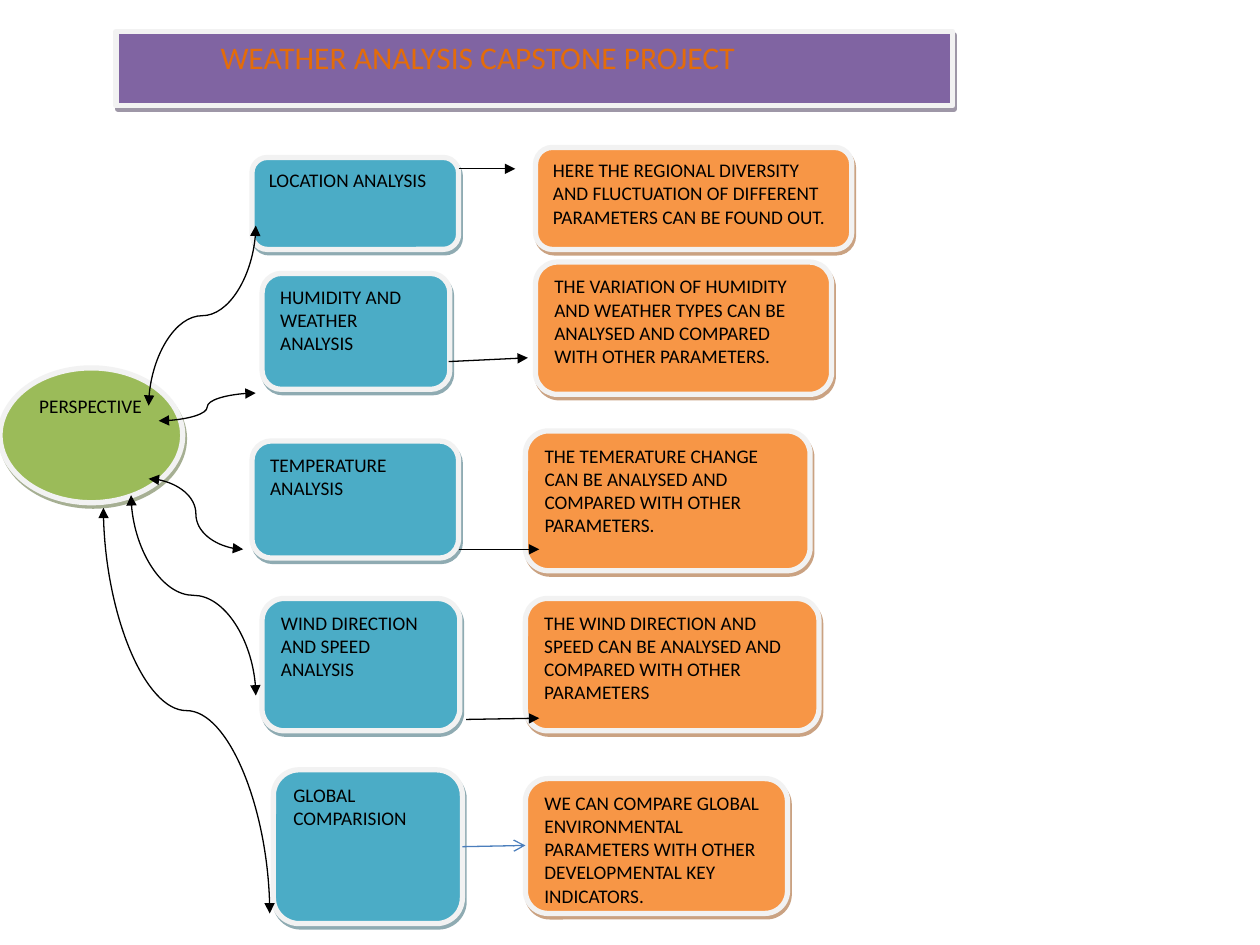
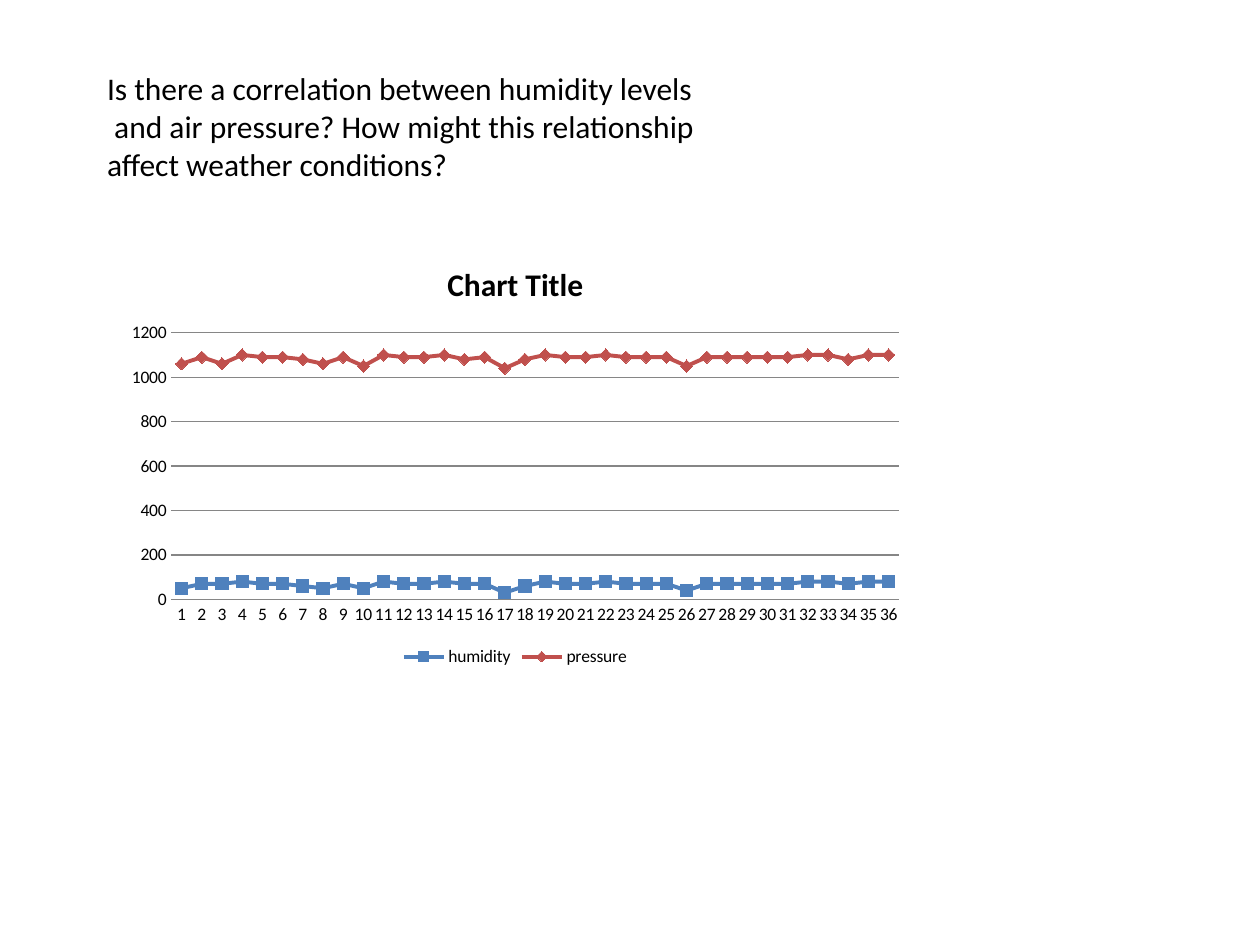
from lxml.etree import SubElement
from pptx import Presentation
from pptx.chart.data import CategoryChartData
from pptx.dml.color import RGBColor
from pptx.enum.chart import XL_CHART_TYPE, XL_LEGEND_POSITION, XL_MARKER_STYLE, XL_TICK_MARK
from pptx.enum.shapes import MSO_CONNECTOR, MSO_SHAPE
from pptx.enum.text import MSO_ANCHOR, MSO_AUTO_SIZE, PP_ALIGN
from pptx.oxml.ns import qn
from pptx.util import Inches, Pt

FONT = "Calibri"
BLACK, GREY, BORDER = "000000", "868686", "F2F2F2"
PURPLE, PURPLE_SHADOW, TITLE_ORANGE = "8064A2", "3F3151", "E36C0A"
GREEN, GREEN_SHADOW = "9BBB59", "4E6128"
TEAL, TEAL_SHADOW = "4BACC6", "205867"
ORANGE, ORANGE_SHADOW = "F79646", "974706"
ARROW_BLUE, SERIES_BLUE, SERIES_RED = "4B7EBC", "4F81BD", "C0504D"

# Analysis name, its box, description, its box (left, top, width, height)
ANALYSES = [
    ("LOCATION ANALYSIS", (2, 1.25, 1.64, 0.73),
     "HERE THE REGIONAL DIVERSITY AND FLUCTUATION OF DIFFERENT PARAMETERS CAN BE FOUND OUT.",
     (4.25, 1.17, 2.51, 0.81)),
    ("HUMIDITY AND WEATHER ANALYSIS", (2.08, 2.17, 1.49, 0.92),
     "THE VARIATION OF HUMIDITY AND WEATHER TYPES CAN BE ANALYSED AND COMPARED "
     "WITH OTHER PARAMETERS.",
     (4.25, 2.08, 2.35, 1.05)),
    ("TEMPERATURE ANALYSIS", (2, 3.5, 1.64, 0.93),
     "THE TEMERATURE CHANGE CAN BE ANALYSED AND COMPARED WITH OTHER PARAMETERS.",
     (4.17, 3.42, 2.26, 1.11)),
    ("WIND DIRECTION AND SPEED ANALYSIS", (2.08, 4.75, 1.57, 1.05),
     "THE WIND DIRECTION AND SPEED CAN BE ANALYSED AND COMPARED WITH OTHER PARAMETERS",
     (4.17, 4.75, 2.33, 1.05)),
    ("GLOBAL COMPARISION", (2.17, 6.11, 1.5, 1.22),
     "WE CAN COMPARE GLOBAL ENVIRONMENTAL PARAMETERS WITH OTHER DEVELOPMENTAL KEY INDICATORS.",
     (4.17, 6.18, 2.08, 1.07)),
]

# Start point, end point, whether the curve leaves vertically
PERSPECTIVE_CURVES = [
    ((1.18, 3.22), (2.03, 1.79), True),
    ((1.26, 3.34), (2.03, 3.12), False),
    ((1.18, 3.8), (1.93, 4.36), False),
    ((1.04, 3.93), (2.03, 5.52), True),
    ((0.82, 4.03), (2.14, 7.25), True),
]

# Start point, end point, colour, arrowhead
DESCRIPTION_ARROWS = [
    ((3.64, 1.34), (4.09, 1.34), BLACK, "triangle"),
    ((3.56, 2.87), (4.19, 2.84), BLACK, "triangle"),
    ((3.64, 4.36), (4.28, 4.36), BLACK, "triangle"),
    ((3.7, 5.71), (4.28, 5.7), BLACK, "triangle"),
    ((3.67, 6.72), (4.17, 6.71), ARROW_BLUE, "arrow"),
]

HUMIDITY = [50, 70, 70, 80, 70, 70, 60, 50, 70, 50, 80, 70,
            70, 80, 70, 70, 30, 60, 80, 70, 70, 80, 70, 70,
            70, 40, 70, 70, 70, 70, 70, 80, 80, 70, 80, 80]
PRESSURE = [1010, 1020, 990, 1020, 1020, 1020, 1020, 1010, 1020, 1000, 1020, 1020,
            1020, 1020, 1010, 1020, 1010, 1020, 1020, 1020, 1020, 1020, 1020, 1020,
            1020, 1010, 1020, 1020, 1020, 1020, 1020, 1020, 1020, 1010, 1020, 1020]


def color(hex_value):
    return RGBColor.from_string(hex_value)


def style_font(font, size, hex_value=BLACK, bold=False):
    font.name, font.size, font.bold = FONT, Pt(size), bold
    font.color.rgb = color(hex_value)


def write_text(shape, lines, size, hex_value=BLACK):
    """Fill a shape with left-aligned paragraphs starting at the top."""
    frame = shape.text_frame
    frame.word_wrap = True
    frame.auto_size = MSO_AUTO_SIZE.NONE
    frame.vertical_anchor = MSO_ANCHOR.TOP
    frame.text = "\n".join(lines)
    for paragraph in frame.paragraphs:
        paragraph.alignment = PP_ALIGN.LEFT
        style_font(paragraph.font, size, hex_value)


def style_panel(shape, fill, shadow):
    """Solid fill, pale border and a hard shadow to the lower right."""
    shape.fill.solid()
    shape.fill.fore_color.rgb = color(fill)
    shape.line.color.rgb = color(BORDER)
    shape.line.width = Pt(3)
    shape.shadow.inherit = False
    effects = shape.element.spPr.find(qn("a:effectLst"))
    outer = SubElement(effects, qn("a:outerShdw"), blurRad="0", dist=str(Pt(2.2)),
                       dir=str(63 * 60000), algn="ctr", rotWithShape="0")
    shadow_color = SubElement(outer, qn("a:srgbClr"), val=shadow)
    SubElement(shadow_color, qn("a:alpha"), val="50000")


def add_panel(slide, preset, box, text, fill, shadow):
    shape = slide.shapes.add_shape(preset, *map(Inches, box))
    style_panel(shape, fill, shadow)
    write_text(shape, [text], 11)


def add_title(slide, box, lines, hex_value=BLACK):
    title = slide.shapes.title
    title.left, title.top, title.width, title.height = map(Inches, box)
    write_text(title, lines, 18, hex_value)
    return title


def style_connector(connector, hex_value, **arrowheads):
    connector.line.color.rgb = color(hex_value)
    connector.line.width = Pt(0.75)
    properties = connector.element.spPr
    for end, kind in arrowheads.items():
        SubElement(properties.find(qn("a:ln")), qn(f"a:{end}"), type=kind)
    SubElement(properties, qn("a:effectLst"))


def add_arrow(slide, start, end, hex_value, head):
    connector = slide.shapes.add_connector(
        MSO_CONNECTOR.STRAIGHT, *map(Inches, start + end))
    style_connector(connector, hex_value, tailEnd=head)


def add_curve(slide, start, end, vertical):
    """Two-headed S-curve; a vertical one is a horizontal one turned by 270 degrees."""
    (x1, y1), (x2, y2) = start, end
    if vertical:
        middle_x, middle_y = (x1 + x2) / 2, (y1 + y2) / 2
        half_length, half_height = (y1 - y2) / 2, (x2 - x1) / 2
        x1, x2 = middle_x - half_length, middle_x + half_length
        y1, y2 = middle_y - half_height, middle_y + half_height
    connector = slide.shapes.add_connector(
        MSO_CONNECTOR.CURVE, *map(Inches, (x1, y1, x2, y2)))
    if vertical:
        connector.element.spPr.find(qn("a:xfrm")).set("rot", str(270 * 60000))
    style_connector(connector, BLACK, headEnd="triangle", tailEnd="triangle")


def add_line_chart(slide, box):
    data = CategoryChartData()
    data.categories = [str(number) for number in range(1, len(HUMIDITY) + 1)]
    data.add_series("humidity", HUMIDITY)
    data.add_series("pressure", PRESSURE)
    chart = slide.shapes.add_chart(
        XL_CHART_TYPE.LINE_MARKERS_STACKED, *map(Inches, box), data).chart
    style_font(chart.font, 10)

    # Title and legend
    chart.has_title = True
    chart.chart_title.text_frame.text = "Chart Title"
    style_font(chart.chart_title.text_frame.paragraphs[0].font, 18, bold=True)
    chart.chart_title.include_in_layout = False
    chart.has_legend = True
    chart.legend.position = XL_LEGEND_POSITION.BOTTOM
    chart.legend.include_in_layout = False

    # Axes
    for axis in (chart.category_axis, chart.value_axis):
        axis.major_tick_mark = axis.minor_tick_mark = XL_TICK_MARK.NONE
    chart.category_axis.format.line.color.rgb = color(GREY)
    values = chart.value_axis
    values.minimum_scale, values.maximum_scale, values.major_unit = 0, 1200, 200
    values.format.line.fill.background()
    values.has_major_gridlines = True
    values.major_gridlines.format.line.color.rgb = color(GREY)

    # Series
    styles = [(SERIES_BLUE, XL_MARKER_STYLE.SQUARE), (SERIES_RED, XL_MARKER_STYLE.DIAMOND)]
    for series, (hex_value, marker) in zip(chart.plots[0].series, styles):
        series.smooth = False
        series.format.line.color.rgb = color(hex_value)
        series.format.line.width = Pt(2.25)
        series.marker.style, series.marker.size = marker, 7
        series.marker.format.fill.solid()
        series.marker.format.fill.fore_color.rgb = color(hex_value)
        series.marker.format.line.color.rgb = color(hex_value)


def build_overview(slide):
    # Title band
    title = add_title(slide, (0.92, 0.25, 6.64, 0.59),
                      ["WEATHER ANALYSIS CAPSTONE PROJECT"], TITLE_ORANGE)
    title.text_frame.margin_left = Inches(0.83)
    properties = title.element.spPr
    geometry = SubElement(properties, qn("a:prstGeom"), prst="roundRect")
    SubElement(geometry, qn("a:avLst"))
    style_panel(title, PURPLE, PURPLE_SHADOW)

    # Perspective and its analyses
    add_panel(slide, MSO_SHAPE.OVAL, (0, 2.92, 1.45, 1.07), "PERSPECTIVE",
              GREEN, GREEN_SHADOW)
    for name, name_box, description, description_box in ANALYSES:
        add_panel(slide, MSO_SHAPE.ROUNDED_RECTANGLE, name_box, name, TEAL, TEAL_SHADOW)
        add_panel(slide, MSO_SHAPE.ROUNDED_RECTANGLE, description_box, description,
                  ORANGE, ORANGE_SHADOW)

    # Connections
    for curve in PERSPECTIVE_CURVES:
        add_curve(slide, *curve)
    for arrow in DESCRIPTION_ARROWS:
        add_arrow(slide, *arrow)


def build_correlation(slide):
    add_title(slide, (0.75, 0.5, 7.83, 1.31), [
        "Is there a correlation between humidity levels",
        " and air pressure? How might this relationship",
        "affect weather conditions?",
    ])
    add_line_chart(slide, (0.92, 1.92, 6.34, 3.41))


def main():
    presentation = Presentation()
    presentation.slide_width, presentation.slide_height = Inches(10), Inches(7.5)
    title_only = presentation.slide_layouts[5]
    for build in (build_overview, build_correlation):
        build(presentation.slides.add_slide(title_only))
    presentation.save("out.pptx")


if __name__ == "__main__":
    main()
